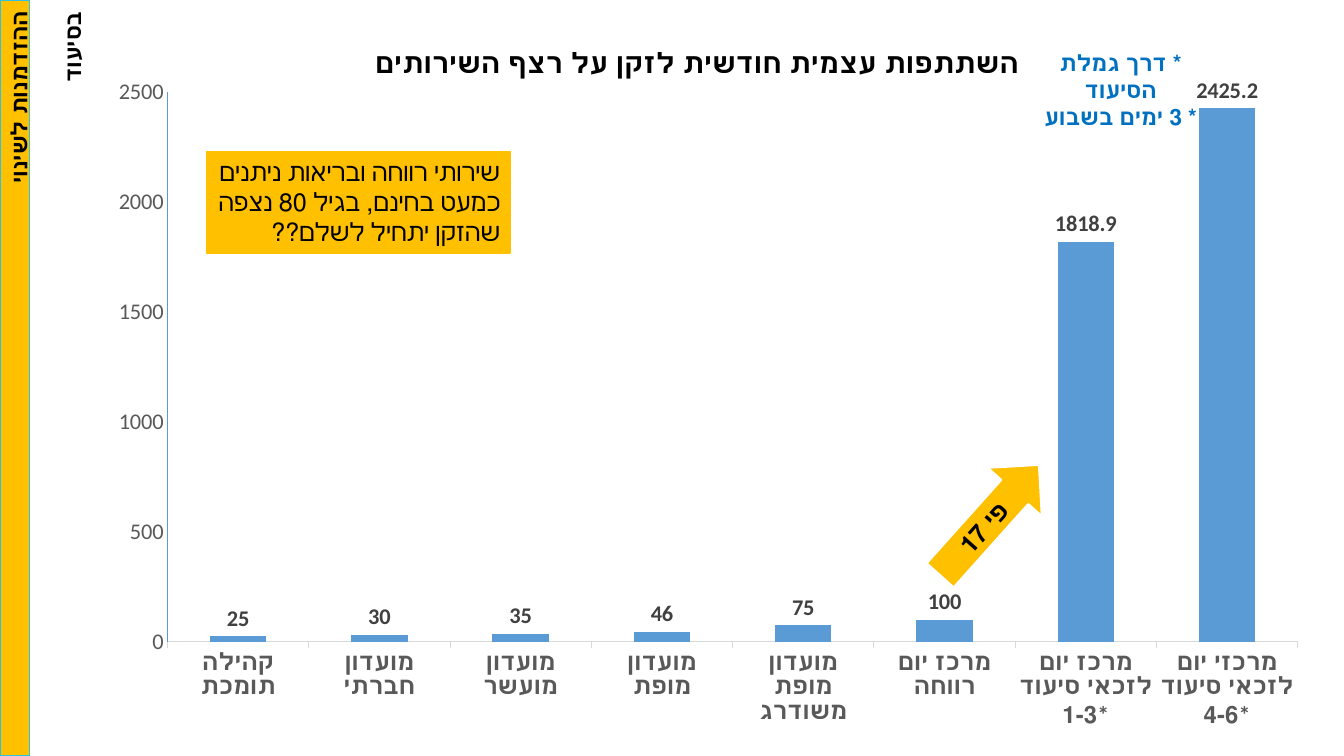
from dataclasses import dataclass

from pptx import Presentation
from pptx.chart.data import CategoryChartData
from pptx.dml.color import RGBColor
from pptx.enum.chart import XL_CHART_TYPE, XL_LABEL_POSITION, XL_TICK_MARK
from pptx.enum.shapes import MSO_SHAPE
from pptx.enum.text import MSO_ANCHOR, PP_ALIGN
from pptx.oxml import parse_xml
from pptx.oxml.ns import nsdecls, qn
from pptx.util import Inches, Pt


@dataclass(frozen=True)
class Theme:
    font: str = "Calibri"
    black: str = "000000"
    white: str = "FFFFFF"
    amber: str = "FFC000"
    cyan: str = "2CC2E0"
    bar: str = "5B9BD5"
    remark: str = "0070C0"
    axis_text: str = "595959"
    label_text: str = "404040"
    axis_line: str = "D9D9D9"
    small: int = 16
    category: int = 17
    body: int = 18
    title: int = 20


THEME = Theme()

SERVICES = {
    "קהילה תומכת": 25,
    "מועדון חברתי": 30,
    "מועדון מועשר": 35,
    "מועדון מופת": 46,
    "מועדון מופת משודרג": 75,
    "מרכז יום רווחה": 100,
    "מרכז יום לזכאי סיעוד 1-3*": 1818.9,
    "מרכזי יום לזכאי סיעוד 4-6*": 2425.2,
}


def style_font(font, size, color=THEME.black, bold=False):
    font.size = Pt(size)
    font.bold = bold
    font.color.rgb = RGBColor.from_string(color)
    font.name = THEME.font


def write_text(frame, text, *, size, color=THEME.black, bold=False,
               align=PP_ALIGN.CENTER, anchor=MSO_ANCHOR.TOP, spacing=None):
    frame.word_wrap = True
    frame.vertical_anchor = anchor
    paragraph = frame.paragraphs[0]
    paragraph.text = text
    paragraph.alignment = align
    paragraph._p.get_or_add_pPr().set("rtl", "1")
    if spacing:
        paragraph.line_spacing = spacing
    for run in paragraph.runs:
        style_font(run.font, size, color, bold)


def add_block(slide, preset, box, line, width, rotation=0):
    block = slide.shapes.add_shape(preset, *map(Inches, box))
    block.shadow.inherit = False
    block.fill.solid()
    block.fill.fore_color.rgb = RGBColor.from_string(THEME.amber)
    block.line.color.rgb = RGBColor.from_string(line)
    block.line.width = Pt(width)
    block.rotation = rotation
    return block.text_frame


def add_text_area(slide, box, rotation=0):
    area = slide.shapes.add_textbox(*map(Inches, box))
    area.rotation = rotation
    return area.text_frame


def set_layout(parent, index, target="", **fractions):
    modes = "".join(f'<c:{side}Mode val="edge"/>' for side in "xy")
    sizes = "".join(f'<c:{side} val="{value}"/>' for side, value in fractions.items())
    inner = f'<c:layoutTarget val="{target}"/>' if target else ""
    for existing in parent.findall(qn("c:layout")):
        parent.remove(existing)
    parent.insert(index, parse_xml(
        f'<c:layout {nsdecls("c")}><c:manualLayout>{inner}{modes}{sizes}'
        "</c:manualLayout></c:layout>"))


def style_axis(axis, tick, size, line, bold=False):
    axis.has_major_gridlines = False
    axis.major_tick_mark = tick
    axis.minor_tick_mark = XL_TICK_MARK.NONE
    axis.format.line.color.rgb = RGBColor.from_string(line)
    axis.format.line.width = Pt(0.75)
    style_font(axis.tick_labels.font, size, THEME.axis_text, bold)


def add_payment_chart(slide):
    payments = CategoryChartData()
    payments.categories = list(SERVICES)
    payments.add_series("Series 1", list(SERVICES.values()))
    chart = slide.shapes.add_chart(
        XL_CHART_TYPE.COLUMN_CLUSTERED, Inches(0.87), Inches(0.27),
        Inches(12.16), Inches(7.15), payments).chart
    chart.has_legend = False
    style_font(chart.font, 10)

    chart.has_title = True
    write_text(chart.chart_title.text_frame, "השתתפות עצמית חודשית לזקן על רצף השירותים",
               size=THEME.title, bold=True)
    set_layout(chart.chart_title._element, 1, x=0.23, y=0.02)
    set_layout(chart._chartSpace.chart.plotArea, 0, "inner",
               x=0.065, y=0.09, w=0.922, h=0.763)

    style_axis(chart.category_axis, XL_TICK_MARK.OUTSIDE, THEME.category,
               THEME.axis_line, bold=True)
    style_axis(chart.value_axis, XL_TICK_MARK.NONE, THEME.small, THEME.bar)
    chart.value_axis.minimum_scale = 0
    chart.value_axis.maximum_scale = 2500
    chart.value_axis.major_unit = 500

    columns = chart.plots[0]
    columns.gap_width = 150
    columns.vary_by_categories = False
    payment = columns.series[0]
    payment.format.fill.solid()
    payment.format.fill.fore_color.rgb = RGBColor.from_string(THEME.bar)
    payment.data_labels.show_value = True
    payment.data_labels.position = XL_LABEL_POSITION.OUTSIDE_END
    style_font(payment.data_labels.font, THEME.small, THEME.label_text, bold=True)


def main():
    deck = Presentation()
    deck.slide_width, deck.slide_height = Inches(13.33), Inches(7.5)
    slide = deck.slides.add_slide(deck.slide_layouts[6])

    remark = add_text_area(slide, (10.14, 0.44, 1.95, 0.64))
    write_text(remark, "* דרך גמלת הסיעוד\v* 3 ימים בשבוע",
               size=THEME.small, color=THEME.remark, bold=True)

    add_payment_chart(slide)

    increase = add_block(slide, MSO_SHAPE.RIGHT_ARROW, (9.08, 4.8, 1.47, 0.72),
                         THEME.white, 1.5, rotation=311.8)
    write_text(increase, "פי 17", size=THEME.body, bold=True, anchor=MSO_ANCHOR.MIDDLE)

    question = add_block(slide, MSO_SHAPE.RECTANGLE, (2.05, 1.5, 3.01, 1.01),
                         THEME.amber, 1)
    write_text(question,
               "שירותי רווחה ובריאות ניתנים כמעט בחינם, בגיל 80 נצפה שהזקן יתחיל לשלם??",
               size=THEME.body, align=PP_ALIGN.RIGHT)

    add_block(slide, MSO_SHAPE.RECTANGLE, (0, 0, 0.29, 7.5), THEME.cyan, 1)
    section = add_text_area(slide, (-1.1, 0.85, 2.23, 0.56), rotation=270)
    write_text(section, "ההזדמנות לשינוי בסיעוד", size=THEME.small, bold=True,
               align=PP_ALIGN.RIGHT, spacing=2.0)

    deck.save("out.pptx")


if __name__ == "__main__":
    main()
